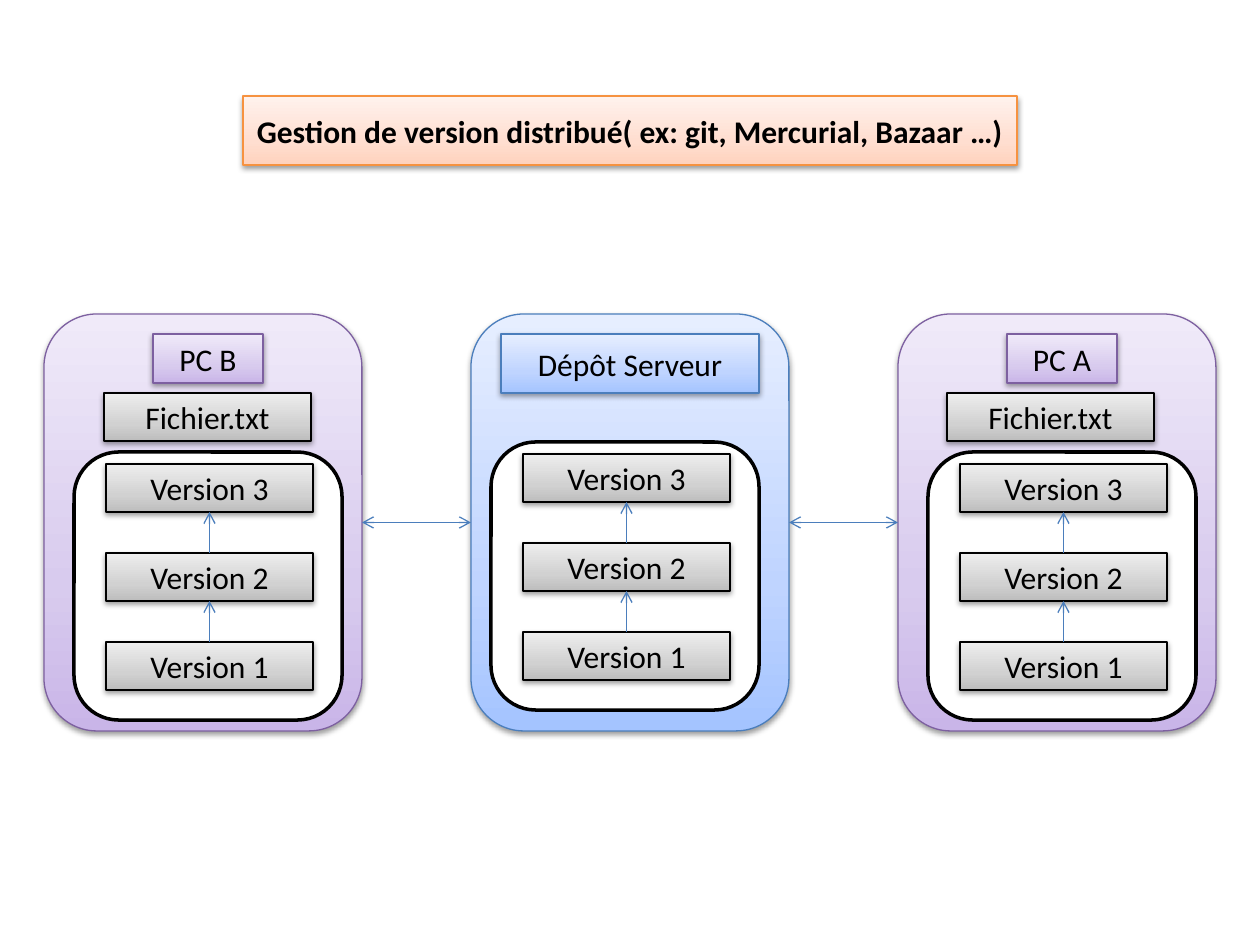
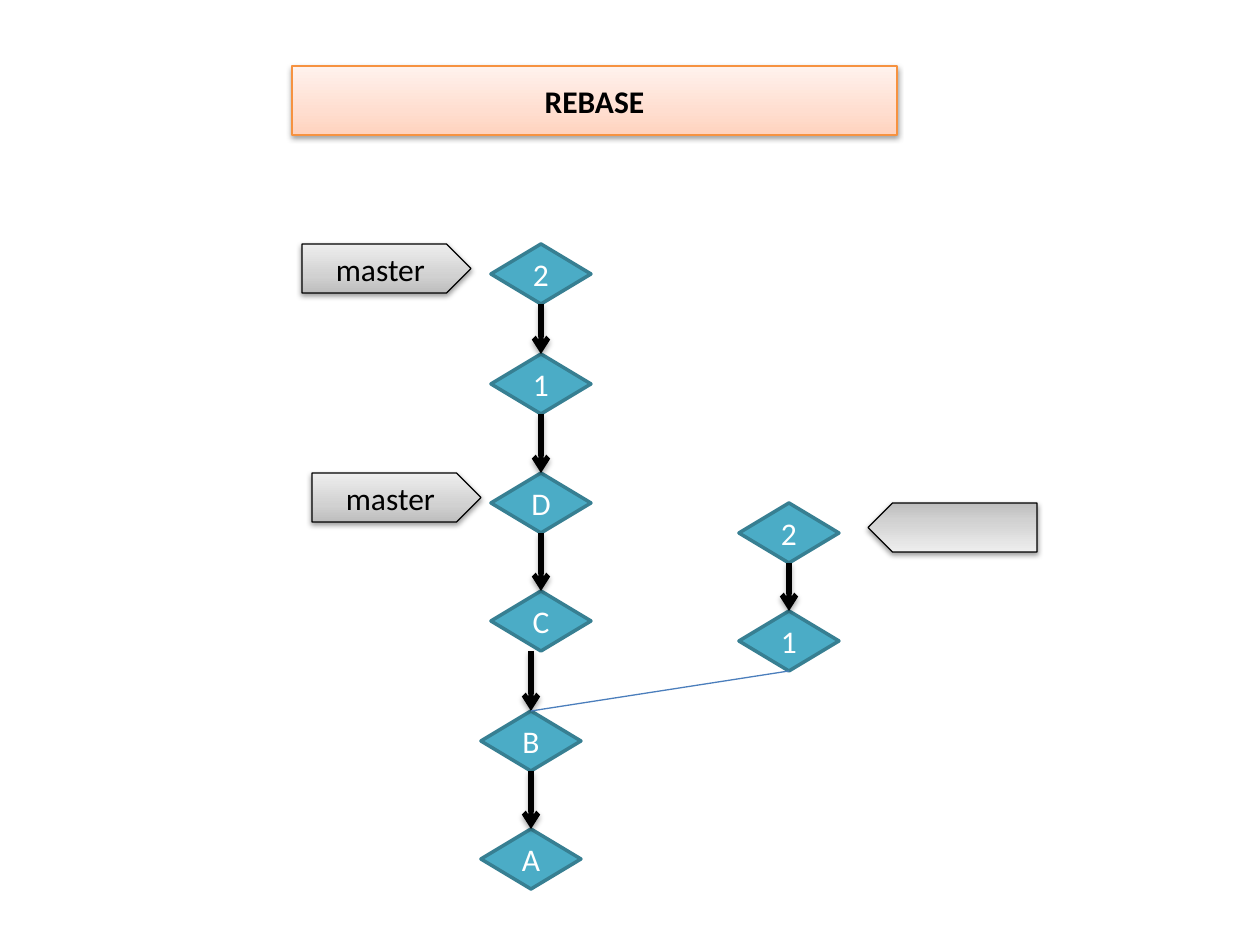
import pptx
import pptx.util
from pptx.dml.color import RGBColor
from pptx.enum.shapes import MSO_CONNECTOR, MSO_SHAPE
from pptx.enum.text import MSO_ANCHOR, MSO_AUTO_SIZE, PP_ALIGN
from pptx.oxml import parse_xml
from pptx.oxml.ns import nsdecls, qn

PX = 914400 / 126
FONT = "Calibri"
BLACK = RGBColor(0x00, 0x00, 0x00)
WHITE = RGBColor(0xFF, 0xFF, 0xFF)
BLUE_LINE = RGBColor(0x4B, 0x7E, 0xBC)
PURPLE_LINE = RGBColor(0x7D, 0x60, 0xA0)
ORANGE_LINE = RGBColor(0xF6, 0x92, 0x40)
TEAL = RGBColor(0x4B, 0xAC, 0xC6)
TEAL_LINE = RGBColor(0x37, 0x7F, 0x92)

# Gradient stops, from bottom to top
ORANGES = RGBColor(0xFF, 0xD2, 0xBD), RGBColor(0xFF, 0xDE, 0xD0), RGBColor(0xFF, 0xF2, 0xED)
BLUES = RGBColor(0xA4, 0xC4, 0xFF), RGBColor(0xBF, 0xD4, 0xFF), RGBColor(0xE6, 0xEE, 0xFF)
PURPLES = RGBColor(0xC9, 0xB5, 0xE8), RGBColor(0xD8, 0xCB, 0xEE), RGBColor(0xF0, 0xEA, 0xF9)
GREYS = RGBColor(0xBD, 0xBD, 0xBD), RGBColor(0xD1, 0xD1, 0xD1), RGBColor(0xEE, 0xEE, 0xEE)
STOPS = 0, 35, 100

TOP, LEFT, BOTTOM, RIGHT = range(4)


def emu(*lengths):
    return [pptx.util.Emu(round(n * PX)) for n in lengths]


class Deck:
    """Holds the shared style and the current slide."""

    def __init__(self):
        self.prs = pptx.Presentation()
        self.prs.slide_width, self.prs.slide_height = emu(1260, 945)

    def new_slide(self, title, x, y, w, h):
        self.slide = self.prs.slides.add_slide(self.prs.slide_layouts[5])
        sp = self.slide.shapes.title
        sp.left, sp.top, sp.width, sp.height = emu(x, y, w, h)
        self.paint(sp, ORANGES, ORANGE_LINE)
        self.label(sp, title, BLACK, bold=True)

    def shadow(self, sp_pr, distance, opacity):
        effects = sp_pr.find(qn("a:effectLst"))
        effects.append(parse_xml(
            f'<a:outerShdw {nsdecls("a")} blurRad="40000" dist="{distance}" dir="5400000" '
            f'rotWithShape="0"><a:srgbClr val="000000"><a:alpha val="{opacity * 1000}"/>'
            '</a:srgbClr></a:outerShdw>'))

    def paint(self, sp, fill, line, width=0.75):
        """Plain colour, or a gradient with a soft shadow."""
        is_gradient = isinstance(fill[0], RGBColor)
        if is_gradient:
            sp.fill.gradient()
            sp.fill.gradient_angle = 90
            stops = sp._element.spPr.find(qn("a:gradFill")).find(qn("a:gsLst"))
            for gs in list(stops):
                stops.remove(gs)
            for pos, color in zip(STOPS, fill):
                stops.append(parse_xml(f'<a:gs {nsdecls("a")} pos="{pos * 1000}">'
                                       f'<a:srgbClr val="{color}"/></a:gs>'))
        else:
            sp.fill.solid()
            sp.fill.fore_color.rgb = fill
        sp.line.color.rgb = line
        sp.line.width = pptx.util.Pt(width)
        sp.shadow.inherit = False
        if is_gradient:
            self.shadow(sp._element.spPr, 20000, 38)

    def label(self, sp, text, color, bold=False):
        tf = sp.text_frame
        tf.word_wrap = True
        tf.auto_size = MSO_AUTO_SIZE.NONE
        tf.vertical_anchor = MSO_ANCHOR.MIDDLE
        tf.margin_left = tf.margin_right = pptx.util.Inches(0.05)
        p = tf.paragraphs[0]
        p.text = text
        p.alignment = PP_ALIGN.CENTER
        p.font.name, p.font.size, p.font.bold = FONT, pptx.util.Pt(18), bold
        p.font.color.rgb = color

    def shape(self, kind, x, y, w, h, fill, line, width=0.75, text="", color=BLACK):
        sp = self.slide.shapes.add_shape(kind, *emu(x, y, w, h))
        self.paint(sp, fill, line, width)
        if text:
            self.label(sp, text, color)
        return sp

    def box(self, text, x, y, w=207, h=48, fill=GREYS, line=BLACK):
        return self.shape(MSO_SHAPE.RECTANGLE, x, y, w, h, fill, line, text=text)

    def diamond(self, text, x, y):
        return self.shape(MSO_SHAPE.FLOWCHART_DECISION, x, y, 100, 60, TEAL, TEAL_LINE, 2,
                          text, WHITE)

    def flag(self, text, x, y):
        return self.shape(MSO_SHAPE.PENTAGON, x, y, 169, 49, GREYS, BLACK, text=text)

    def link(self, start, end, sides=(BOTTOM, TOP), heads=("tailEnd",), bold=False):
        """Join two shapes; start may also be a free (x, y) point."""
        free = isinstance(start, tuple)
        x, y = emu(*start) if free else (0, 0)
        cx = self.slide.shapes.add_connector(MSO_CONNECTOR.STRAIGHT, x, y, x, y)
        if not free:
            cx.begin_connect(start, sides[0])
        cx.end_connect(end, sides[1])
        cx.line.color.rgb = BLACK if bold else BLUE_LINE
        cx.line.width = pptx.util.Pt(3 if bold else 0.75)
        sp_pr = cx._element.spPr
        for head in heads:
            sp_pr.find(qn("a:ln")).append(parse_xml(f'<a:{head} {nsdecls("a")} type="arrow"/>'))
        sp_pr.append(parse_xml(f'<a:effectLst {nsdecls("a")}/>'))
        if bold:
            self.shadow(sp_pr, 23000, 35)

    def panel(self, x, fill, line):
        return self.shape(MSO_SHAPE.ROUNDED_RECTANGLE, x, 314, 318, 417, fill, line)

    def history(self, x, y):
        """Repository frame with its three linked versions."""
        self.shape(MSO_SHAPE.ROUNDED_RECTANGLE, x, y, 268, 268, WHITE, BLACK, 2)
        newer = None
        for row, number in enumerate((3, 2, 1)):
            version = self.box(f"Version {number}", x + 32, y + 12 + 89 * row)
            if newer:
                self.link(version, newer, (TOP, BOTTOM))
            newer = version


def distributed_slide(deck):
    deck.new_slide("Gestion de version distribué( ex: git, Mercurial, Bazaar …)", 243, 96, 774, 69)
    pc_b_x, server_x, pc_a_x = (44 + 427 * i for i in range(3))

    # Server
    server = deck.panel(server_x, BLUES, BLUE_LINE)
    deck.box("Dépôt Serveur", server_x + 30, 334, 258, 59, BLUES, BLUE_LINE)
    deck.history(server_x + 20, 442)

    # Workstations
    pcs = []
    for name, x, file_x in (("PC B", pc_b_x, 104), ("PC A", pc_a_x, 947)):
        pcs.append(deck.panel(x, PURPLES, PURPLE_LINE))
        deck.box(name, x + 109, 334, 110, 49, PURPLES, PURPLE_LINE)
        deck.box("Fichier.txt", file_x, 393)
        deck.history(x + 30, 452)

    # Exchanges with the server
    for left, right in ((pcs[0], server), (server, pcs[1])):
        deck.link(left, right, (RIGHT, LEFT), ("headEnd", "tailEnd"))


def rebase_slide(deck):
    deck.new_slide("REBASE", 292, 66, 605, 69)

    # Commits
    trunk = [deck.diamond(text, 491, y)
             for text, y in (("2", 244), ("1", 354), ("D", 473), ("C", 591))]
    base = [deck.diamond(text, 481, y) for text, y in (("B", 711), ("A", 829))]
    branch = [deck.diamond(text, 739, y) for text, y in (("2", 503), ("1", 611))]

    # Parent links
    for chain in (trunk, base, branch):
        for child, parent in zip(chain, chain[1:]):
            deck.link(child, parent, bold=True)
    deck.link((531, 651), base[0], bold=True)
    deck.link(branch[-1], base[0], heads=())

    # Branch flags
    deck.flag("master", 302, 244)
    deck.flag("master", 312, 473)
    deck.flag("", 868, 503).rotation = 180


def main():
    deck = Deck()
    distributed_slide(deck)
    rebase_slide(deck)
    deck.prs.save("out.pptx")


if __name__ == "__main__":
    main()
